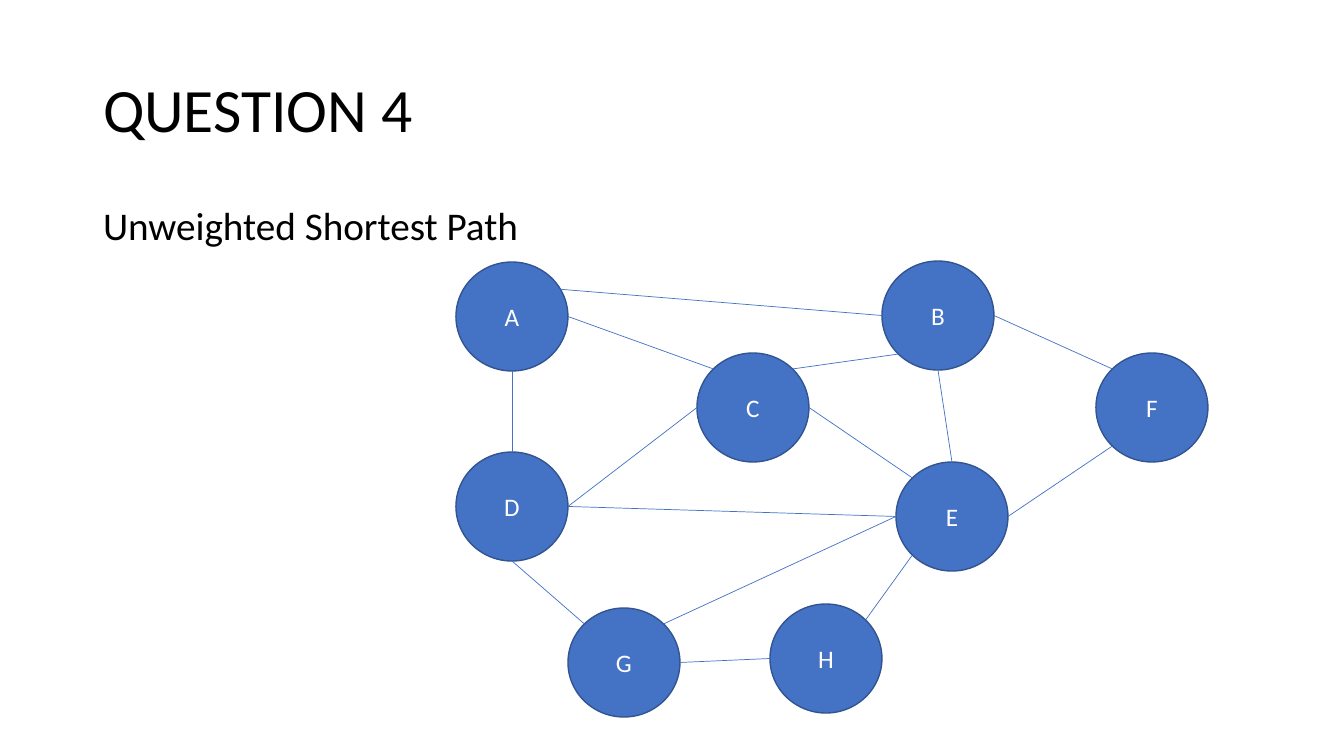
from math import cos, pi, sin

from lxml.etree import SubElement
from pptx import Presentation
from pptx.dml.color import RGBColor
from pptx.enum.shapes import MSO_CONNECTOR as CONNECTOR, MSO_SHAPE as SHAPE
from pptx.enum.text import MSO_ANCHOR as ANCHOR, PP_ALIGN as ALIGN
from pptx.oxml.ns import qn
from pptx.util import Pt

EMU_PER_PIXEL = 12192000 / 1344
FONT = "Calibri"
COLORS = {"text": "000000", "node": "4472C4", "outline": "325491",
          "edge": "4472C4", "label": "FFFFFF"}

# Boxes are left, top, width, height in pixels
TITLE_BOX = (93, 40, 1159, 146)
BODY_BOX = (93, 202, 1159, 480)
GRAPH_BOX = (456, 261, 752, 455)

# Node corners relative to the graph box
NODE_SIZE = (112, 109)
NODES = {"A": (0, 1), "D": (0, 191), "G": (112, 347), "C": (241, 92),
         "B": (426, 0), "E": (440, 201), "H": (314, 343), "F": (640, 92)}

# Connection sites of an ellipse, counter-clockwise from the top
SITES = ["top", "top left", "left", "bottom left",
         "bottom", "bottom right", "right", "top right"]
EDGES = [("A", "right", "C", "top left"), ("A", "bottom", "D", "top"),
         ("D", "bottom", "G", "top left"), ("G", "right", "H", "left"),
         ("H", "top right", "E", "bottom left"),
         ("E", "right", "F", "bottom left"), ("B", "right", "F", "top left"),
         ("B", "bottom", "E", "top"), ("D", "right", "C", "left"),
         ("C", "top right", "B", "bottom left"), ("D", "right", "E", "left"),
         ("C", "right", "E", "top left"), ("G", "top right", "E", "left")]
# The edge from A to B starts on the rim of A, between two sites
RIM_START = (101, 27)


def px(value):
    return round(value * EMU_PER_PIXEL)


def color(name):
    return RGBColor.from_string(COLORS[name])


def style_font(paragraph, size, color_name):
    font = paragraph.font
    font.name, font.size = FONT, Pt(size)
    font.color.rgb = color(color_name)


def fill_placeholder(shape, box, text, size, anchor):
    shape.left, shape.top, shape.width, shape.height = map(px, box)
    frame = shape.text_frame
    frame.text = text
    frame.vertical_anchor = anchor
    paragraph = frame.paragraphs[0]
    paragraph.alignment = ALIGN.LEFT
    paragraph.line_spacing = 0.9
    style_font(paragraph, size, "text")
    return paragraph


def add_title(slide, box):
    fill_placeholder(slide.shapes.title, box, "QUESTION 4", 44, ANCHOR.MIDDLE)


def add_body(slide, box):
    paragraph = fill_placeholder(slide.placeholders[1], box,
                                 "Unweighted Shortest Path", 28, ANCHOR.TOP)
    paragraph.space_before = Pt(10)
    # No bullet and no hanging indent
    properties = paragraph._p.get_or_add_pPr()
    properties.set("marL", "0")
    properties.set("indent", "0")
    SubElement(properties, qn("a:buNone"))


def add_node(slide, left, top, label):
    shape = slide.shapes.add_shape(SHAPE.OVAL, px(left), px(top),
                                   *map(px, NODE_SIZE))
    shape.shadow.inherit = False
    shape.fill.solid()
    shape.fill.fore_color.rgb = color("node")
    shape.line.color.rgb = color("outline")
    shape.line.width = Pt(1)
    frame = shape.text_frame
    frame.text = label
    frame.vertical_anchor = ANCHOR.MIDDLE
    frame.paragraphs[0].alignment = ALIGN.CENTER
    style_font(frame.paragraphs[0], 18, "label")
    return shape


def site_point(shape, site):
    angle = SITES.index(site) * pi / 4
    return (round(shape.left + shape.width / 2 * (1 - sin(angle))),
            round(shape.top + shape.height / 2 * (1 - cos(angle))))


def add_edge(slide, start, end):
    connector = slide.shapes.add_connector(CONNECTOR.STRAIGHT, *start, *end)
    connector.line.color.rgb = color("edge")
    connector.line.width = Pt(0.5)
    SubElement(connector._element.spPr, qn("a:effectLst"))
    return connector


def glue(connector, tag, shape, site):
    properties = connector._element.find(".//" + qn("p:cNvCxnSpPr"))
    SubElement(properties, qn(tag), id=str(shape.shape_id),
               idx=str(SITES.index(site)))


def add_graph(slide, box):
    left, top = box[:2]
    nodes = {label: add_node(slide, left + x, top + y, label)
             for label, (x, y) in NODES.items()}

    for source, source_site, target, target_site in EDGES:
        connector = add_edge(slide, site_point(nodes[source], source_site),
                             site_point(nodes[target], target_site))
        glue(connector, "a:stCxn", nodes[source], source_site)
        glue(connector, "a:endCxn", nodes[target], target_site)

    rim = (px(left + NODES["A"][0] + RIM_START[0]),
           px(top + NODES["A"][1] + RIM_START[1]))
    connector = add_edge(slide, rim, site_point(nodes["B"], "left"))
    glue(connector, "a:endCxn", nodes["B"], "left")


presentation = Presentation()
presentation.slide_width, presentation.slide_height = px(1344), px(756)
slide = presentation.slides.add_slide(presentation.slide_layouts[1])
add_title(slide, TITLE_BOX)
add_body(slide, BODY_BOX)
add_graph(slide, GRAPH_BOX)
presentation.save("out.pptx")
